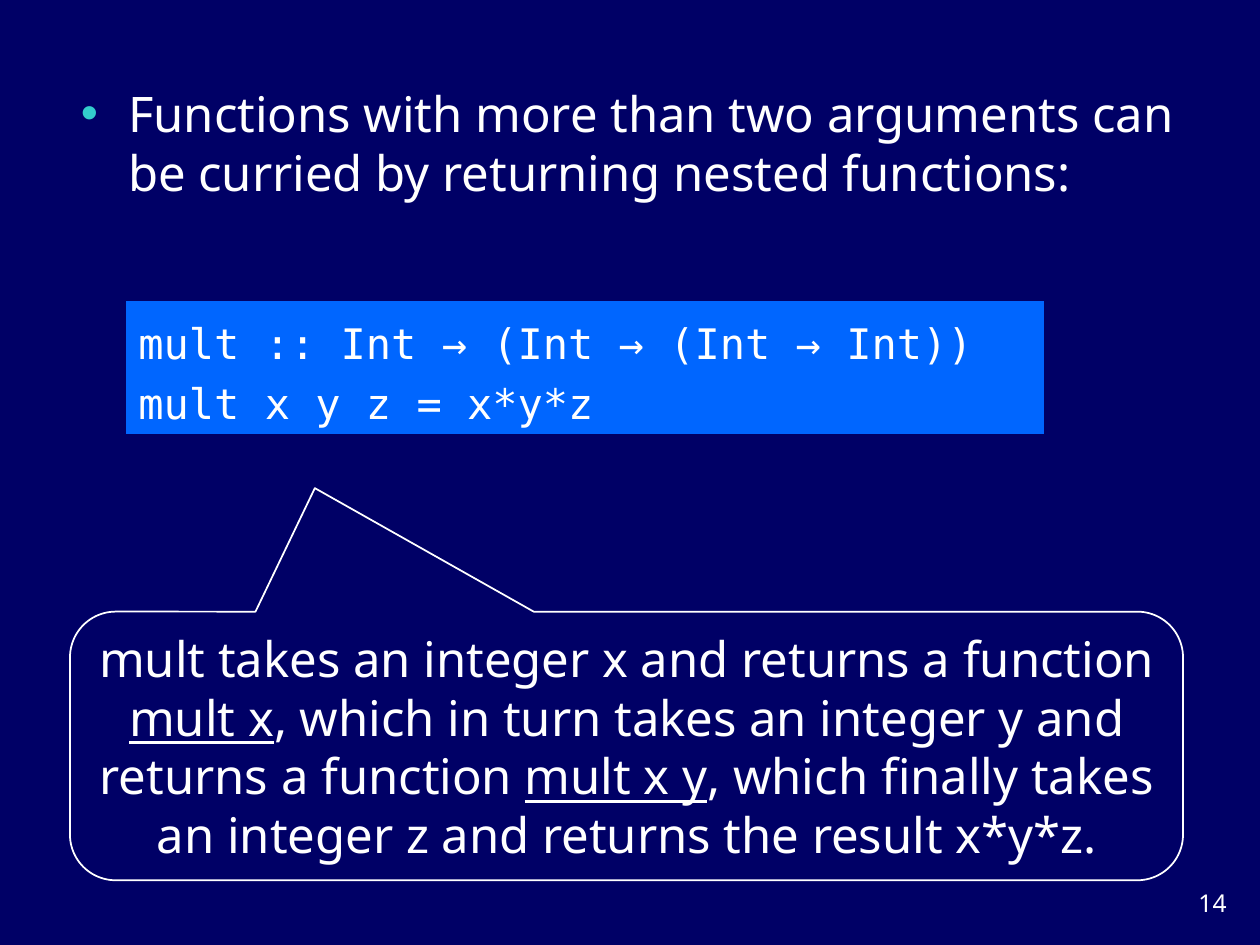
from lxml import etree
from pptx import Presentation
from pptx.dml.color import RGBColor
from pptx.enum.shapes import MSO_SHAPE
from pptx.enum.text import MSO_ANCHOR, MSO_AUTO_SIZE, PP_ALIGN
from pptx.oxml.ns import qn
from pptx.util import Pt

NAVY, BLUE, TEAL, WHITE = "000066", "0066FF", "33CCCC", "FFFFFF"
SANS, MONO = "Noto Sans", "DejaVu Sans Mono"


def paint(color_format, hex_color):
    """Give a fill, line or font colour its hex value."""
    color_format.rgb = RGBColor.from_string(hex_color)


def add_run(paragraph, text, size, font=SANS, underline=None):
    """Append a white run to a paragraph."""
    run = paragraph.add_run()
    run.text = text
    run.font.name, run.font.size = font, Pt(size)
    run.font.underline = underline
    paint(run.font.color, WHITE)


prs = Presentation()
prs.slide_width, prs.slide_height = Pt(720), Pt(540)
slide = prs.slides.add_slide(prs.slide_layouts[1])
slide.background.fill.solid()
paint(slide.background.fill.fore_color, NAVY)
title = slide.shapes.title
title.element.getparent().remove(title.element)

# Bulleted statement
body = slide.placeholders[1]
body.left, body.top, body.width, body.height = Pt(39), Pt(44), Pt(649), Pt(79)
body.text_frame.auto_size = MSO_AUTO_SIZE.NONE
body.text_frame.vertical_anchor = MSO_ANCHOR.TOP
statement = body.text_frame.paragraphs[0]
add_run(statement, "Functions with more than two arguments can be curried "
        "by returning nested functions:", 28)
props = statement._p.get_or_add_pPr()
props.set("marL", str(Pt(27)))
props.set("indent", str(Pt(-27)))
bullet_color = etree.SubElement(props, qn("a:buClr"))
etree.SubElement(bullet_color, qn("a:srgbClr"), val=TEAL)
etree.SubElement(props, qn("a:buChar"), char="•")

# Code box
code = slide.shapes.add_shape(MSO_SHAPE.RECTANGLE, Pt(72), Pt(172), Pt(524.5), Pt(76))
code.shadow.inherit = False
code.fill.solid()
paint(code.fill.fore_color, BLUE)
code.line.fill.background()
code_frame = code.text_frame
code_frame.vertical_anchor = MSO_ANCHOR.MIDDLE
for i, line in enumerate(["mult :: Int → (Int → (Int → Int))", "mult x y z = x*y*z"]):
    paragraph = code_frame.add_paragraph() if i else code_frame.paragraphs[0]
    paragraph.alignment = PP_ALIGN.LEFT
    paragraph.line_spacing = 1.2
    add_run(paragraph, line, 24, MONO)

# Explanation callout
callout = slide.shapes.add_shape(MSO_SHAPE.ROUNDED_RECTANGULAR_CALLOUT,
                                 Pt(40), Pt(349.5), Pt(636), Pt(153.5))
callout.shadow.inherit = False
callout.fill.background()
paint(callout.line.color, WHITE)
callout.line.width = Pt(1)
for i, value in enumerate([-0.28, -0.96, 0.17]):
    callout.adjustments[i] = value
callout.text_frame.vertical_anchor = MSO_ANCHOR.MIDDLE
explanation = callout.text_frame.paragraphs[0]
explanation.alignment = PP_ALIGN.CENTER
for text, underline in [
    ("mult takes an integer x and returns a function ", None),
    ("mult x", True),
    (", which in turn takes an integer y and returns a function ", None),
    ("mult x y", True),
    (", which finally takes an integer z and returns the result x*y*z.", None),
]:
    add_run(explanation, text, 28, underline=underline)

# Page number
number = slide.shapes.add_textbox(Pt(660), Pt(504), Pt(48), Pt(24))
number.text_frame.word_wrap = True
number.text_frame.paragraphs[0].alignment = PP_ALIGN.RIGHT
add_run(number.text_frame.paragraphs[0], "14", 14)

prs.save("out.pptx")
